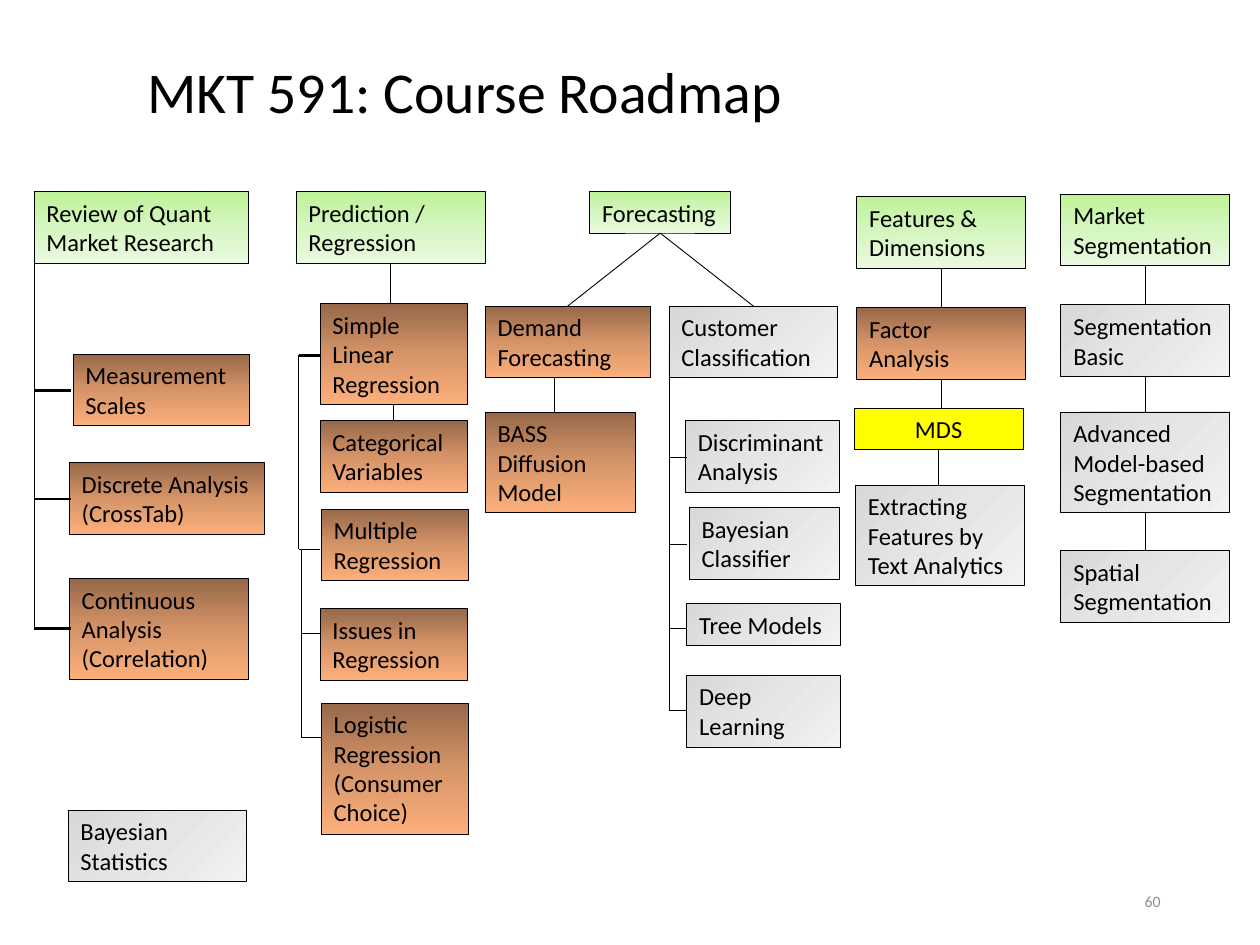
import copy

import pptx
import pptx.dml.color
import pptx.enum.shapes
import pptx.enum.text
import pptx.oxml
import pptx.oxml.ns
import pptx.util
from pptx.util import Inches

ALIGN = pptx.enum.text.PP_ALIGN
ANCHOR = pptx.enum.text.MSO_ANCHOR

# Content: text, left, top, width, lines of text
TOPICS = {
    "heading": [
        ("Review of Quant Market Research", 0.27, 1.52, 1.7, 2),
        ("Prediction / Regression", 2.35, 1.52, 1.5, 2),
        ("Forecasting", 4.68, 1.52, 1.12, 1),
        ("Features & Dimensions", 6.8, 1.56, 1.34, 2),
        ("Market Segmentation", 8.42, 1.54, 1.34, 2),
    ],
    "covered": [
        ("Measurement Scales", 0.58, 2.81, 1.4, 2),
        ("Discrete Analysis (CrossTab)", 0.55, 3.67, 1.55, 2),
        ("Continuous Analysis (Correlation)", 0.55, 4.59, 1.42, 3),
        ("Simple Linear Regression", 2.54, 2.41, 1.17, 3),
        ("Categorical Variables", 2.54, 3.34, 1.17, 2),
        ("Multiple Regression", 2.55, 4.04, 1.17, 2),
        ("Issues in Regression", 2.54, 4.83, 1.17, 2),
        ("Logistic Regression (Consumer Choice)", 2.55, 5.58, 1.17, 4),
        ("Demand Forecasting", 3.85, 2.43, 1.31, 2),
        ("BASS Diffusion Model", 3.85, 3.27, 1.19, 3),
        ("Factor Analysis", 6.8, 2.44, 1.34, 2),
    ],
    "current": [("MDS", 6.78, 3.24, 1.34, 1)],
    "upcoming": [
        ("Bayesian Statistics", 0.54, 6.43, 1.42, 2),
        ("Customer Classification", 5.31, 2.43, 1.34, 2),
        ("Discriminant Analysis", 5.44, 3.34, 1.22, 2),
        ("Bayesian Classifier", 5.47, 4.03, 1.19, 2),
        ("Tree Models", 5.45, 4.79, 1.22, 1),
        ("Deep Learning", 5.45, 5.36, 1.22, 2),
        ("Extracting Features by Text Analytics", 6.79, 3.85, 1.34, 3),
        ("Segmentation Basic", 8.42, 2.42, 1.34, 2),
        ("Advanced Model-based Segmentation", 8.42, 3.27, 1.34, 3),
        ("Spatial Segmentation", 8.42, 4.37, 1.34, 2),
    ],
}

# Chains run straight down from each topic to the next
CHAINS = [
    ["Prediction / Regression", "Simple Linear Regression", "Categorical Variables"],
    ["Features & Dimensions", "Factor Analysis", "MDS",
     "Extracting Features by Text Analytics"],
    ["Market Segmentation", "Segmentation Basic",
     "Advanced Model-based Segmentation", "Spatial Segmentation"],
]
FORKS = {"Forecasting": ["Demand Forecasting", "Customer Classification"]}

# Trunks: x, top, end of branches, [(branch y, is heavy)]
TRUNKS = [
    (0.27, 2.09, 0.56, [(3.1, True), (3.96, True), (4.99, True)]),
    (2.37, 2.82, 2.54, [(2.82, True), (4.36, False)]),
    (2.39, 4.36, 2.55, [(5.03, False), (5.85, False)]),
    (5.31, 2.77, 5.45, [(3.63, False), (4.32, False), (4.99, False), (5.64, False)]),
]

THEME = {
    "font": "Calibri",
    "ink": "000000",
    "muted": "8C8C8C",
    "title": 33,
    "body": 14,
    "number": 9,
    "thin": 0.5,
    "heavy": 1.5,
    # Fill colours and clockwise gradient angle
    "heading": (["BEF297", "D5F6C0", "EAFAE0"], 90),
    "covered": (["966849", "D59468", "FDAF7B"], 90),
    "upcoming": (["D8D8D8", "E5E5E5", "F2F2F2"], 45),
    "current": (["FFFF00"], 0),
}


def rgb(value):
    return pptx.dml.color.RGBColor.from_string(value)


def write(shape, text, size, color="ink", align=ALIGN.LEFT, anchor=ANCHOR.TOP):
    frame = shape.text_frame
    frame.word_wrap = True
    frame.vertical_anchor = anchor
    paragraph = frame.paragraphs[0]
    paragraph.text = text
    paragraph.alignment = align
    paragraph.font.name = THEME["font"]
    paragraph.font.size = pptx.util.Pt(THEME[size])
    paragraph.font.color.rgb = rgb(THEME[color])
    return paragraph


def paint(shape, colors, angle):
    if len(colors) == 1:
        shape.fill.solid()
        shape.fill.fore_color.rgb = rgb(colors[0])
        return
    shape.fill.gradient()
    shape.fill.gradient_angle = 360 - angle
    # Add a middle stop to the default pair
    stops = shape._element.spPr.find(".//" + pptx.oxml.ns.qn("a:gsLst"))
    stops.insert(1, copy.deepcopy(stops[0]))
    stops[1].set("pos", "50000")
    for stop, color in zip(shape.fill.gradient_stops, colors):
        stop.color.rgb = rgb(color)


def add_topic(slide, status, text, left, top, width, lines):
    height = round(0.1 + 0.235 * lines, 2)
    shape = slide.shapes.add_shape(
        pptx.enum.shapes.MSO_SHAPE.RECTANGLE,
        Inches(left), Inches(top), Inches(width), Inches(height))
    shape.shadow.inherit = False
    paint(shape, *THEME[status])
    shape.line.color.rgb = rgb(THEME["ink"])
    shape.line.width = pptx.util.Pt(THEME["thin"])
    align = ALIGN.CENTER if status == "current" else ALIGN.LEFT
    write(shape, text, "body", align=align)
    shape.text_frame.auto_size = pptx.enum.text.MSO_AUTO_SIZE.SHAPE_TO_FIT_TEXT
    return {"center": left + width / 2, "top": top, "bottom": top + height}


def add_line(slide, x1, y1, x2, y2, weight="thin"):
    line = slide.shapes.add_connector(
        pptx.enum.shapes.MSO_CONNECTOR.STRAIGHT,
        Inches(x1), Inches(y1), Inches(x2), Inches(y2))
    line.line.color.rgb = rgb(THEME["ink"])
    line.line.width = pptx.util.Pt(THEME[weight])
    line._element.spPr.append(pptx.oxml.parse_xml(
        "<a:effectLst %s/>" % pptx.oxml.ns.nsdecls("a")))


def main():
    presentation = pptx.Presentation()
    presentation.slide_width = Inches(10)
    presentation.slide_height = Inches(7.5)
    slide = presentation.slides.add_slide(presentation.slide_layouts[6])

    # Title and slide number
    title = slide.shapes.add_textbox(Inches(1.07), Inches(0.03), Inches(7.27), Inches(1.45))
    write(title, "MKT 591: Course Roadmap", "title", anchor=ANCHOR.MIDDLE).line_spacing = 0.9
    number = slide.shapes.add_textbox(Inches(7.06), Inches(6.95), Inches(2.25), Inches(0.4))
    write(number, "60", "number", "muted", ALIGN.RIGHT, ANCHOR.MIDDLE)

    # Topic boxes
    places = {}
    for status, topics in TOPICS.items():
        for topic in topics:
            places[topic[0]] = add_topic(slide, status, *topic)

    # Chains and forks
    for chain in CHAINS:
        for upper, lower in zip(chain, chain[1:]):
            x = places[upper]["center"]
            add_line(slide, x, places[upper]["bottom"], x, places[lower]["top"])
    for parent, children in FORKS.items():
        for child in children:
            add_line(slide, places[parent]["center"], places[parent]["bottom"],
                     places[child]["center"], places[child]["top"])
    add_line(slide, 4.4, places["Demand Forecasting"]["bottom"],
             4.4, places["BASS Diffusion Model"]["top"])

    # Trunks with side branches
    for x, top, end, branches in TRUNKS:
        add_line(slide, x, top, x, branches[-1][0])
        for y, is_heavy in branches:
            add_line(slide, x, y, end, y, "heavy" if is_heavy else "thin")

    presentation.save("out.pptx")


if __name__ == "__main__":
    main()
